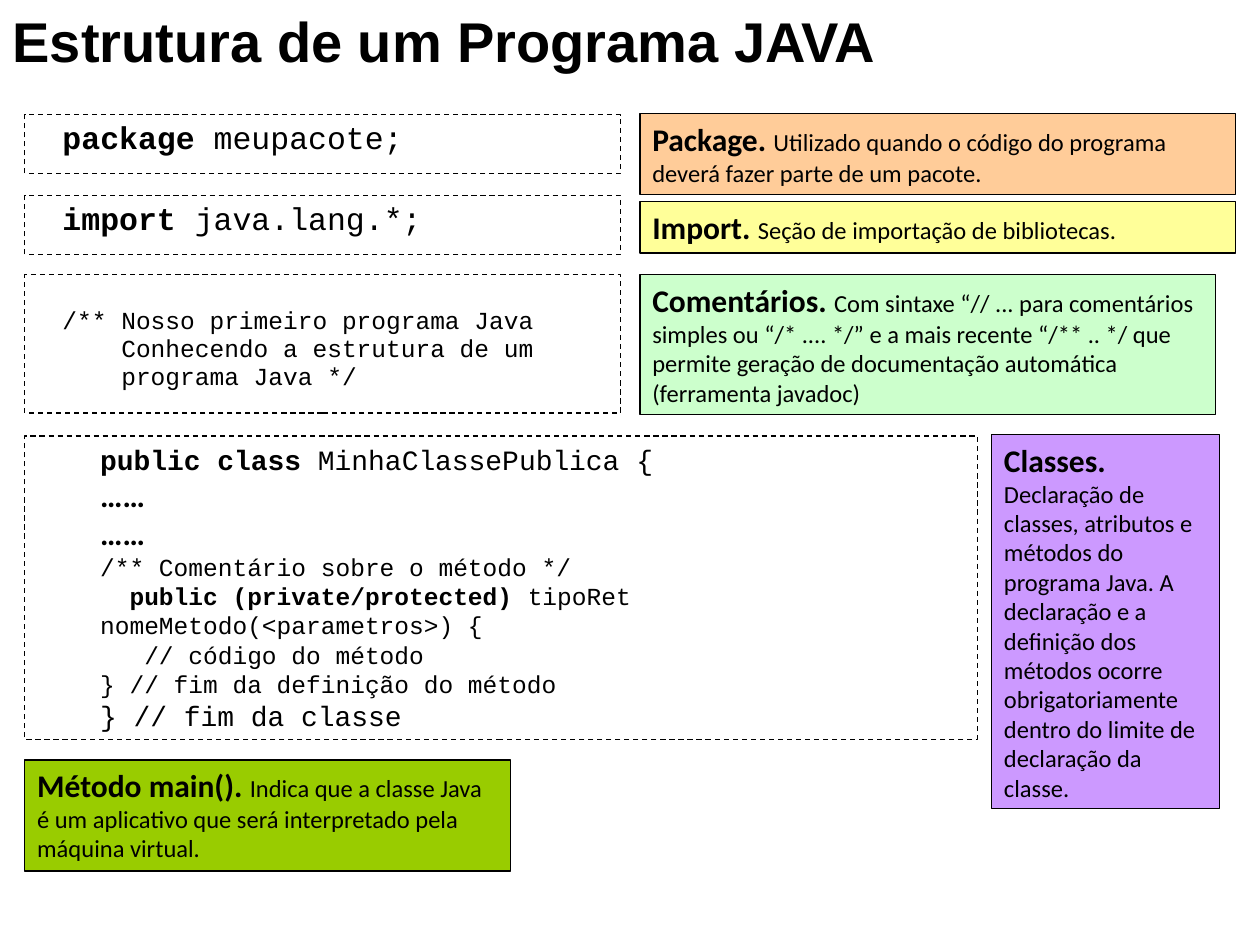
from dataclasses import dataclass

from pptx import Presentation
from pptx.dml.color import RGBColor
from pptx.enum.dml import MSO_LINE
from pptx.enum.shapes import MSO_SHAPE as Shape
from pptx.enum.text import MSO_ANCHOR as Anchor, MSO_AUTO_SIZE as AutoSize, PP_ALIGN as Align
from pptx.util import Cm, Pt

BLACK = "000000"
CODE_FONT = "Courier New"
NOTE_FONT = "Calibri"
LEFT, NOTE_LEFT, COLUMN_WIDTH = 0.5, 12.9, 12.01


@dataclass
class Span:
    text: str
    size: float = 14
    bold: bool = False
    font: str = CODE_FONT


@dataclass
class CodeBox:
    """A dashed box of code lines; lengths in centimetres."""
    top: float
    width: float
    height: float
    lines: list[list[Span]]
    indent: float = 0.51
    line_spacing: float = 0.95
    top_margin: float = 0.13


@dataclass
class Note:
    """A coloured explanation box; lengths in centimetres."""
    left: float
    top: float
    width: float
    height: float
    fill: str
    heading: str
    text: str


CODE_BOXES = [
    CodeBox(2.31, COLUMN_WIDTH, 1.19, [[Span("package", 18, True), Span(" meupacote;", 18)]]),
    CodeBox(3.94, COLUMN_WIDTH, 1.19, [[Span("import", 18, True), Span(" java.lang.*;", 18)]]),
    CodeBox(5.54, COLUMN_WIDTH, 2.79, [
        [Span("/** Nosso primeiro programa Java")],
        [Span("    Conhecendo a estrutura de um")],
        [Span("    programa Java */")],
    ], top_margin=0.66),
    CodeBox(8.79, 19.2, 6.12, [
        [Span("public class", 16, True), Span(" MinhaClassePublica {", 16)],
        [Span("……", 18, True, NOTE_FONT)],
        [Span("……", 18, True, NOTE_FONT)],
        [Span("/** Comentário sobre o método */")],
        [Span("  public (private/protected) ", bold=True),
         Span("tipoRet nomeMetodo(<parametros>) {")],
        [Span("   // código do método")],
        [Span("} // fim da definição do método")],
        [Span("} // fim da classe", 16)],
    ], indent=1.27, line_spacing=1.0),
]

NOTES = [
    Note(NOTE_LEFT, 2.29, COLUMN_WIDTH, 1.63, "FFCC99", "Package. ",
         "Utilizado quando o código do programa deverá fazer parte de um pacote."),
    Note(NOTE_LEFT, 4.06, COLUMN_WIDTH, 1.04, "FFFF99", "Import. ",
         "Seção de importação de bibliotecas."),
    Note(NOTE_LEFT, 5.54, 11.61, 2.82, "CCFFCC", "Comentários. ",
         "Com sintaxe “// ... para comentários simples ou “/* .... */” e a mais recente "
         "“/** .. */ que permite geração de documentação automática (ferramenta javadoc)"),
    Note(19.99, 8.76, 4.6, 7.54, "CC99FF", "Classes. ",
         "Declaração de classes, atributos e métodos do programa Java. A declaração e a "
         "definição dos métodos ocorre obrigatoriamente dentro do limite de declaração "
         "da classe."),
    Note(LEFT, 15.32, 9.8, 2.24, "99CC00", "Método main(). ",
         "Indica que a classe Java é um aplicativo que será interpretado pela "
         "máquina virtual."),
]


def color(value: str) -> RGBColor:
    return RGBColor.from_string(value)


def add_text(para, text: str, *, size: float, font: str, bold: bool = False) -> None:
    run = para.add_run()
    run.text = text
    run.font.size = Pt(size)
    run.font.name = font
    run.font.bold = bold
    run.font.color.rgb = color(BLACK)


def add_box(page, left: float, top: float, width: float, height: float):
    """Add an unfilled, black-outlined rectangle with top-anchored text."""
    box = page.shapes.add_shape(Shape.RECTANGLE, Cm(left), Cm(top), Cm(width), Cm(height))
    box.shadow.inherit = False
    box.fill.background()
    box.line.color.rgb = color(BLACK)
    box.line.width = Pt(0.75)
    box.text_frame.word_wrap = True
    box.text_frame.vertical_anchor = Anchor.TOP
    return box


def draw_code(page, code: CodeBox) -> None:
    box = add_box(page, LEFT, code.top, code.width, code.height)
    box.line.dash_style = MSO_LINE.DASH
    frame = box.text_frame
    frame.margin_top = Cm(code.top_margin)
    for index, line in enumerate(code.lines):
        para = frame.add_paragraph() if index else frame.paragraphs[0]
        para.alignment = Align.LEFT
        para.level = 1
        para.line_spacing = code.line_spacing
        properties = para._p.get_or_add_pPr()
        properties.set("marL", str(Cm(code.indent)))
        properties.set("indent", "0")
        for span in line:
            add_text(para, span.text, size=span.size, font=span.font, bold=span.bold)


def draw_note(page, note: Note) -> None:
    box = add_box(page, note.left, note.top, note.width, note.height)
    box.fill.solid()
    box.fill.fore_color.rgb = color(note.fill)
    box.text_frame.auto_size = AutoSize.SHAPE_TO_FIT_TEXT
    para = box.text_frame.paragraphs[0]
    para.alignment = Align.LEFT
    add_text(para, note.heading, size=18, font=NOTE_FONT, bold=True)
    add_text(para, note.text, size=14, font=NOTE_FONT)


def draw_title(page, text: str) -> None:
    title = page.shapes.title
    title.left, title.top, title.width, title.height = Cm(0), Cm(0), Cm(25.4), Cm(1.63)
    frame = title.text_frame
    frame.word_wrap = True
    frame.auto_size = AutoSize.NONE
    frame.vertical_anchor = Anchor.TOP
    para = frame.paragraphs[0]
    para.alignment = Align.LEFT
    add_text(para, text, size=32, font="Arial", bold=True)


def main() -> None:
    deck = Presentation()
    deck.slide_width, deck.slide_height = Cm(25.4), Cm(19.05)
    page = deck.slides.add_slide(deck.slide_layouts[5])
    draw_title(page, "Estrutura de um Programa JAVA")
    for code in CODE_BOXES:
        draw_code(page, code)
    for note in NOTES:
        draw_note(page, note)
    deck.save("out.pptx")


if __name__ == "__main__":
    main()
